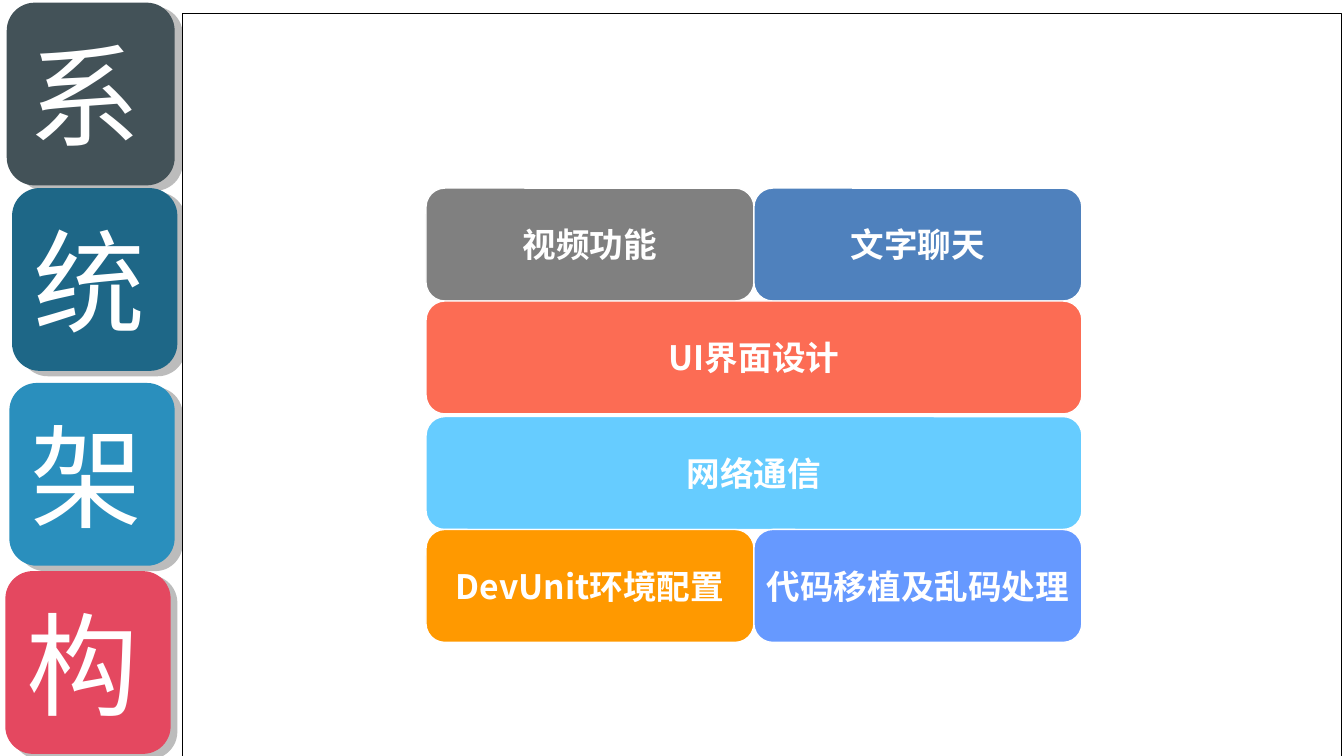
from dataclasses import dataclass

import pptx
import pptx.dml.color
import pptx.enum.shapes
import pptx.enum.text
import pptx.oxml
import pptx.oxml.ns
import pptx.util
from pptx.util import Inches


@dataclass(frozen=True)
class Theme:
    cjk_font: str = "Noto Sans CJK SC"
    latin_font: str = "Arial"
    white: str = "FFFFFF"
    black: str = "000000"
    shadow: str = "BCBCBC"
    slate: str = "435258"
    teal: str = "1E6787"
    blue: str = "2A8FBD"
    rose: str = "E44860"
    gray: str = "808080"
    steel: str = "4F81BD"
    coral: str = "FC6C54"
    sky: str = "66CCFF"
    orange: str = "FF9900"
    periwinkle: str = "6699FF"
    tile_size: int = 60
    block_size: int = 18
    line_width: float = 0.75


theme = Theme()
RECTANGLE = pptx.enum.shapes.MSO_SHAPE.RECTANGLE
ROUNDED = pptx.enum.shapes.MSO_SHAPE.ROUNDED_RECTANGLE
ALIGN = pptx.enum.text.PP_ALIGN


def add_panel(shapes, kind, left, top, width, height, fill, line=None):
    """Add a flat shape, sized in inches, without a line unless a line colour is given."""
    panel = shapes.add_shape(kind, Inches(left), Inches(top), Inches(width), Inches(height))
    panel.shadow.inherit = False
    panel.fill.solid()
    panel.fill.fore_color.rgb = pptx.dml.color.RGBColor.from_string(fill)
    if line:
        panel.line.color.rgb = pptx.dml.color.RGBColor.from_string(line)
        panel.line.width = pptx.util.Pt(theme.line_width)
    else:
        panel.line.fill.background()
    return panel


def write_label(panel, text, size, font, align, bold, wrap):
    frame = panel.text_frame
    frame.word_wrap = wrap
    frame.vertical_anchor = pptx.enum.text.MSO_ANCHOR.MIDDLE
    para = frame.paragraphs[0]
    para.alignment = align
    span = para.add_run()
    span.text = text
    span.font.size = pptx.util.Pt(size)
    span.font.bold = bold
    span.font.color.rgb = pptx.dml.color.RGBColor.from_string(theme.white)
    span.font.name = font
    east_asian = pptx.oxml.parse_xml(
        f'<a:ea {pptx.oxml.ns.nsdecls("a")} typeface="{theme.cjk_font}"/>')
    span.font._element.find(pptx.oxml.ns.qn("a:latin")).addnext(east_asian)


deck = pptx.Presentation()
deck.slide_width = Inches(10)
deck.slide_height = Inches(10) * 9 // 16
page = deck.slides.add_slide(deck.slide_layouts[6])

# Title tiles down the left edge, each with an offset shadow
shadow_width, shadow_height, tile_height = 1.23, 1.37, 1.36
tiles = [
    ("系", 0.05, 0.02, 1.25, 0.08, theme.slate),
    ("统", 0.09, 1.4, 1.23, 0.06, theme.teal),
    ("架", 0.07, 2.85, 1.23, 0.06, theme.blue),
    ("构", 0.04, 4.25, 1.23, 0.05, theme.rose),
]
for character, left, top, width, shadow_shift, color in tiles:
    group = page.shapes.add_group_shape()
    add_panel(group.shapes, ROUNDED, left + shadow_shift, top + 0.03,
              shadow_width, shadow_height, theme.shadow)
    tile = add_panel(group.shapes, ROUNDED, left, top, width, tile_height, color)
    write_label(tile, character, theme.tile_size, theme.cjk_font, ALIGN.LEFT, False, True)

add_panel(page.shapes, RECTANGLE, 1.36, 0.1, 8.62, 5.56, theme.white, theme.black)

# Architecture layers: the blocks of a layer share its width equally
stack_left, stack_width, layer_height = 3.17, 4.88, 0.84
layers = [
    (1.4, theme.latin_font, [("视频功能", theme.gray), ("文字聊天", theme.steel)]),
    (2.24, theme.cjk_font, [("UI界面设计", theme.coral)]),
    (3.1, theme.cjk_font, [("网络通信", theme.sky)]),
    (3.94, theme.cjk_font, [("DevUnit环境配置", theme.orange),
                            ("代码移植及乱码处理", theme.periwinkle)]),
]
for top, font, blocks in layers:
    block_width = stack_width / len(blocks)
    for column, (label, color) in enumerate(blocks):
        block = add_panel(page.shapes, ROUNDED, stack_left + column * block_width, top,
                          block_width, layer_height, color, theme.white)
        write_label(block, label, theme.block_size, font, ALIGN.CENTER, True, False)

deck.save("out.pptx")
